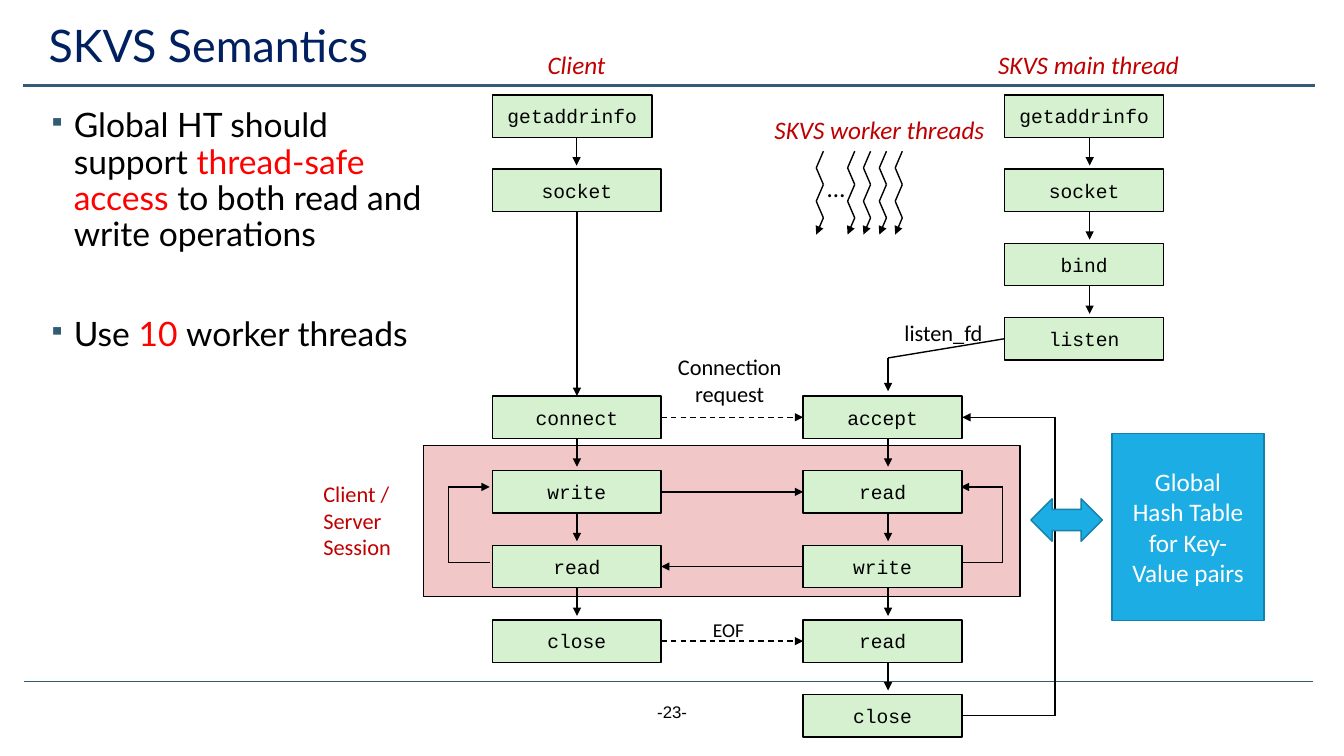
from dataclasses import dataclass
from itertools import pairwise

from lxml.etree import SubElement
from pptx import Presentation
from pptx.dml.color import RGBColor
from pptx.enum.dml import MSO_LINE
from pptx.enum.shapes import MSO_CONNECTOR, MSO_SHAPE
from pptx.enum.text import MSO_ANCHOR, MSO_AUTO_SIZE as FIT, PP_ALIGN
from pptx.oxml.ns import qn
from pptx.util import Cm, Pt

COLORS = {
    "ink": "000000", "white": "FFFFFF", "rule": "335B74", "title": "002060",
    "accent": "FF0000", "label": "C00000", "step": "D5F1CF", "session": "F1C7C7",
    "table": "1CADE4", "table_edge": "1580A9",
}
TOP, LEFT, BOTTOM, RIGHT = range(4)
STEP_HEIGHT = 1.07
ARROW_STOP = 1.78  # from the top of a step to the tip of its down arrow

Point = tuple[float, float]
Frame = tuple[float, float, float, float]


@dataclass(frozen=True)
class Column:
    left: float
    width: float
    arrow_x: float
    first_top: float
    pitch: float

    def top(self, row: int) -> float:
        return self.first_top + row * self.pitch


@dataclass(frozen=True)
class Step:
    name: str
    column: Column
    row: int
    text: str
    flows_down: bool = True
    width: float | None = None


@dataclass(frozen=True)
class Label:
    lines: tuple[str, ...]
    frame: Frame
    size: int
    color: str = "ink"
    italic: bool = False
    font: str = "Calibri"
    align: PP_ALIGN = PP_ALIGN.CENTER
    anchor: MSO_ANCHOR = MSO_ANCHOR.MIDDLE
    wrap: bool = False
    fit: FIT = FIT.SHAPE_TO_FIT_TEXT


SETUP_CLIENT = Column(12.42, 4.24, 14.53, 2.39, 1.87)
CLIENT = Column(12.42, 4.24, 14.54, 9.98, 1.88)
WORKER = Column(20.24, 4.01, 22.38, 9.98, 1.88)
MAIN = Column(25.32, 4.01, 27.46, 2.39, 1.87)

STEPS = [
    Step("client getaddrinfo", SETUP_CLIENT, 0, "getaddrinfo", width=4.01),
    Step("client socket", SETUP_CLIENT, 1, "socket", flows_down=False),
    Step("connect", CLIENT, 0, "connect"),
    Step("client write", CLIENT, 1, "write"),
    Step("client read", CLIENT, 2, "read"),
    Step("client close", CLIENT, 3, "close", flows_down=False),
    Step("accept", WORKER, 0, "accept"),
    Step("worker read", WORKER, 1, "read"),
    Step("worker write", WORKER, 2, "write"),
    Step("worker read end", WORKER, 3, "read"),
    Step("worker close", WORKER, 4, "close", flows_down=False),
    Step("main getaddrinfo", MAIN, 0, "getaddrinfo"),
    Step("main socket", MAIN, 1, "socket"),
    Step("bind", MAIN, 2, "bind"),
    Step("listen", MAIN, 3, "listen", flows_down=False),
]
# start step, its side, end step, its side, dashed
MESSAGES = [
    ("client socket", BOTTOM, "connect", TOP, False),
    ("connect", RIGHT, "accept", LEFT, True),
    ("client write", RIGHT, "worker read", LEFT, False),
    ("worker write", LEFT, "client read", RIGHT, False),
    ("client close", RIGHT, "worker read end", LEFT, True),
]
LABELS = [
    Label(("Client / Server", "Session"), (7.9, 11.96, 2.34, 2.29), 16, "label",
          align=PP_ALIGN.LEFT, wrap=True),
    Label(("Client",), (13.26, 0.99, 2.54, 1.27), 18, "label", True),
    Label(("SKVS main thread",), (24.87, 1.12, 5.13, 1.02), 18, "label", True),
    Label(("SKVS worker threads",), (19.23, 2.74, 5.87, 1.02), 18, "label", True),
    Label(("Connection", "request"), (16.79, 8.76, 3.2, 1.63), 16),
    Label(("listen_fd",), (22.53, 7.92, 2.49, 0.94), 16),
    Label(("EOF",), (17.7, 15.44, 1.32, 0.86), 14),
    Label(("…",), (20.6, 4.22, 0.97, 1.02), 18, align=PP_ALIGN.LEFT,
          anchor=MSO_ANCHOR.TOP),
    Label(("-23-",), (13.13, 17.55, 7.62, 1.02), 12, font="Arial",
          anchor=MSO_ANCHOR.TOP, wrap=True, fit=FIT.NONE),
]
BULLETS = [
    (10, [("Global HT should support ", "ink"), ("thread-safe access", "accent"),
          (" to both read and write operations", "ink")]),
    (45.5, [("Use ", "ink"), ("10 ", "accent"), ("worker threads", "ink")]),
]


def rgb(color: str) -> RGBColor:
    return RGBColor.from_string(COLORS[color])


def apply(target, values: dict) -> None:
    for attribute, value in values.items():
        setattr(target, attribute, value)


def add_run(paragraph, text: str, size: float, font: str, color: str, italic=False) -> None:
    run = paragraph.add_run()
    run.text = text
    apply(run.font, {"size": Pt(size), "name": font, "italic": italic})
    run.font.color.rgb = rgb(color)


def write(text_frame, label: Label) -> None:
    apply(text_frame, {"word_wrap": label.wrap, "auto_size": label.fit,
                       "vertical_anchor": label.anchor})
    for index, line in enumerate(label.lines):
        paragraph = text_frame.add_paragraph() if index else text_frame.paragraphs[0]
        paragraph.alignment = label.align
        add_run(paragraph, line, label.size, label.font, label.color, label.italic)


def add_label(shapes, label: Label) -> None:
    write(shapes.add_textbox(*map(Cm, label.frame)).text_frame, label)


def add_block(shapes, frame: Frame, fill: str, edge="ink", kind=MSO_SHAPE.RECTANGLE):
    block = shapes.add_shape(kind, *map(Cm, frame))
    block.shadow.inherit = False
    block.fill.solid()
    block.fill.fore_color.rgb = rgb(fill)
    block.line.color.rgb = rgb(edge)
    block.line.width = Pt(1)
    return block


def add_line(shapes, start: Point, end: Point, arrow=False, dashed=False,
             color="ink", width=1.0):
    line = shapes.add_connector(MSO_CONNECTOR.STRAIGHT, *map(Cm, (*start, *end)))
    line.line.color.rgb = rgb(color)
    line.line.width = Pt(width)
    if dashed:
        line.line.dash_style = MSO_LINE.DASH
    if arrow:
        SubElement(line.line._get_or_add_ln(), qn("a:tailEnd"), type="triangle")
    SubElement(line._element.spPr, qn("a:effectLst"))
    return line


def add_path(shapes, *points: Point, arrow=True) -> list:
    """Chain straight lines through the points, with the arrowhead on the last."""
    legs = list(pairwise(points))
    return [add_line(shapes, *leg, arrow=arrow and leg is legs[-1]) for leg in legs]


def add_bullets(shapes) -> None:
    body = shapes.add_textbox(*map(Cm, (0.97, 2.62, 10.11, 14.27)))
    body.fill.solid()
    body.fill.fore_color.rgb = rgb("white")
    body.text_frame.word_wrap = True
    for index, (space, runs) in enumerate(BULLETS):
        paragraph = body.text_frame.add_paragraph() if index else body.text_frame.paragraphs[0]
        apply(paragraph, {"line_spacing": 0.9, "space_before": Pt(space)})
        properties = paragraph._p.get_or_add_pPr()
        properties.set("marL", str(Cm(0.64)))
        properties.set("indent", str(-Cm(0.64)))
        bullet_color = SubElement(properties, qn("a:buClr"))
        SubElement(bullet_color, qn("a:srgbClr"), val=COLORS["rule"])
        SubElement(properties, qn("a:buSzPct"), val="70000")
        SubElement(properties, qn("a:buChar"), char="▪")
        for text, color in runs:
            add_run(paragraph, text, 24, "Lato", color)


def add_title(title) -> None:
    left, top, width, height = map(Cm, (0.97, 0.48, 31.57, 1.6))
    apply(title, {"left": left, "top": top, "width": width, "height": height})
    write(title.text_frame, Label(("SKVS Semantics",), (), 32, "title", font="Lato", wrap=True,
                                  align=PP_ALIGN.LEFT, anchor=MSO_ANCHOR.TOP, fit=FIT.NONE))
    title.text_frame.paragraphs[0].line_spacing = 0.9


def add_steps(shapes) -> None:
    blocks = {}
    for step in STEPS:
        column, top = step.column, step.column.top(step.row)
        frame = (column.left, top, step.width or column.width, STEP_HEIGHT)
        block = blocks[step.name] = add_block(shapes, frame, "step")
        write(block.text_frame, Label((step.text,), frame, 14, font="Courier New", fit=FIT.NONE))
        if step.flows_down:
            arrow = add_line(shapes, (column.arrow_x, top + STEP_HEIGHT),
                             (column.arrow_x, top + ARROW_STOP), arrow=True)
            if column is CLIENT:
                arrow.begin_connect(block, BOTTOM)
    for source, source_side, target, target_side, dashed in MESSAGES:
        message = add_line(shapes, (0, 0), (1, 1), arrow=True, dashed=dashed)
        message.begin_connect(blocks[source], source_side)
        message.end_connect(blocks[target], target_side)

    handoff = add_path(shapes, (25.32, 8.54), (22.38, 9.02), (22.38, 9.86))
    handoff[0].begin_connect(blocks["listen"], LEFT)
    close_y, accept_y = (WORKER.top(row) + STEP_HEIGHT / 2 for row in (4, 0))
    next_client = add_path(shapes, (24.25, close_y), (26.59, close_y),
                           (26.59, accept_y), (24.25, accept_y))
    next_client[0].begin_connect(blocks["worker close"], RIGHT)
    next_client[-1].end_connect(blocks["accept"], RIGHT)


def add_worker_threads(shapes) -> None:
    for left in (20.57, *(21.36 + 0.4 * n for n in range(4))):
        add_path(shapes, *((left + 0.18 * (n % 2 == 0), 3.81 + 0.42 * n) for n in range(6)))


def main() -> None:
    deck = Presentation()
    deck.slide_width, deck.slide_height = Cm(33.87), Cm(19.05)
    slide = deck.slides.add_slide(deck.slide_layouts[5])
    shapes = slide.shapes
    add_title(shapes.title)
    add_line(shapes, (0.61, 17.17), (33.1, 17.17), color="rule", width=0.5)
    add_line(shapes, (0.58, 2.16), (33.15, 2.16), color="rule", width=1.75)
    add_bullets(shapes)
    add_block(shapes, (10.67, 11.23, 15.04, 3.81), "session")
    for inner_x, outer_x in ((24.21, 25.27), (12.34, 11.3)):
        add_path(shapes, (inner_x, 14.17), (outer_x, 14.17), (outer_x, 12.27), (inner_x, 12.27))
    add_steps(shapes)
    add_worker_threads(shapes)
    table_frame = (28.02, 10.92, 3.84, 4.72)
    hash_table = add_block(shapes, table_frame, "table", "table_edge")
    write(hash_table.text_frame, Label(("Global", "Hash Table", "for Key-Value pairs"),
                                       table_frame, 18, "white", wrap=True, fit=FIT.NONE))
    add_block(shapes, (25.98, 12.57, 1.8, 1.07), "table", "table_edge",
              MSO_SHAPE.LEFT_RIGHT_ARROW)
    for label in LABELS:
        add_label(shapes, label)
    deck.save("out.pptx")


if __name__ == "__main__":
    main()
